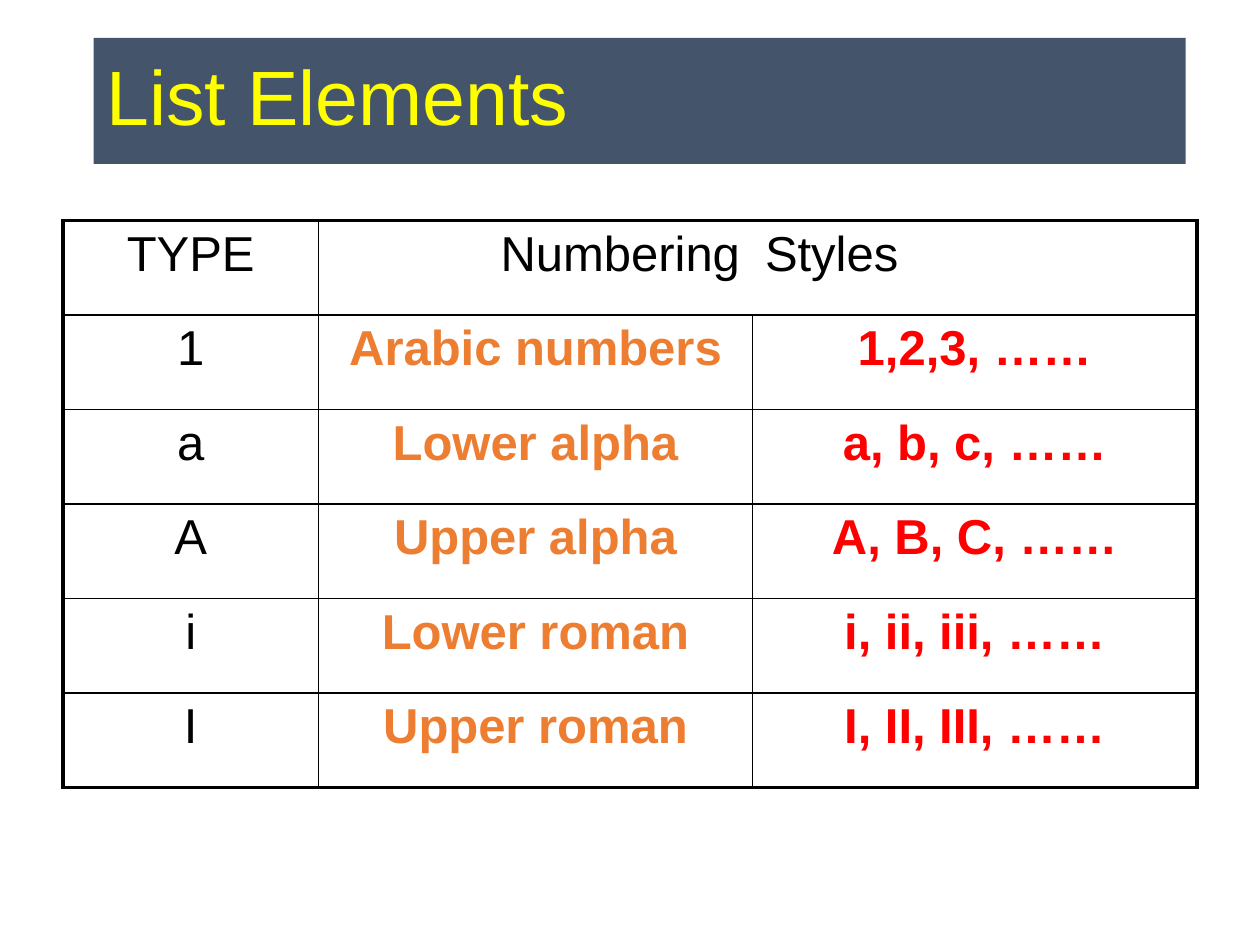
from dataclasses import dataclass

from lxml import etree
from pptx import Presentation
from pptx.dml.color import RGBColor
from pptx.enum import text
from pptx.oxml import ns
from pptx.util import Pt


@dataclass(frozen=True)
class Theme:
    font: str = "Arial"
    title_size: float = 44
    cell_size: float = 28
    title_fill: str = "44546A"
    title_text: str = "FFFF00"
    ink: str = "000000"
    style_name: str = "ED7D31"
    sample: str = "FF0000"
    outer_line: float = 2.25
    inner_line: float = 1


theme = Theme()


def format_text(paragraph, size, color, bold=False):
    for run in paragraph.runs:
        run.font.name = theme.font
        run.font.size = Pt(size)
        run.font.bold = bold
        run.font.color.rgb = RGBColor.from_string(color)


def set_borders(cell, widths):
    """Draw left, right, top and bottom borders; a width of 0 hides the side."""
    properties = cell._tc.get_or_add_tcPr()
    for position, (side, width) in enumerate(zip("LRTB", widths)):
        line = etree.Element(ns.qn(f"a:ln{side}"), w=str(Pt(width)))
        if width:
            fill = etree.SubElement(line, ns.qn("a:solidFill"))
            etree.SubElement(fill, ns.qn("a:srgbClr"), val=theme.ink)
        else:
            etree.SubElement(line, ns.qn("a:noFill"))
        properties.insert(position, line)


deck = Presentation()
deck.slide_width, deck.slide_height = Pt(720), Pt(540)
slide = deck.slides.add_slide(deck.slide_layouts[5])

title = slide.shapes.title
title.left, title.top, title.width, title.height = Pt(53.5), Pt(21.6), Pt(624), Pt(72)
title.fill.solid()
title.fill.fore_color.rgb = RGBColor.from_string(theme.title_fill)
title.text_frame.text = "List Elements"
title.text_frame.vertical_anchor = text.MSO_ANCHOR.MIDDLE
heading = title.text_frame.paragraphs[0]
heading.alignment = text.PP_ALIGN.LEFT
heading.line_spacing = 0.9
format_text(heading, theme.title_size, theme.title_text)

numbering_styles = [
    ("TYPE", "Numbering", "Styles"),
    ("1", "Arabic numbers", "1,2,3, ……"),
    ("a", "Lower alpha", "a, b, c, ……"),
    ("A", "Upper alpha", "A, B, C, ……"),
    ("i", "Lower roman", "i, ii, iii, ……"),
    ("I", "Upper roman", "I, II, III, ……"),
]
column_widths = [146, 248, 254]
row_height = 54
last_row, last_column = len(numbering_styles) - 1, len(column_widths) - 1

table = slide.shapes.add_table(
    len(numbering_styles), len(column_widths),
    Pt(36), Pt(126), Pt(sum(column_widths)), Pt(row_height * len(numbering_styles)),
).table
table.first_row = table.horz_banding = False
for column, width in zip(table.columns, column_widths):
    column.width = Pt(width)

header_alignments = [text.PP_ALIGN.CENTER, text.PP_ALIGN.RIGHT, text.PP_ALIGN.LEFT]
column_colors = [theme.ink, theme.style_name, theme.sample]

for r, entries in enumerate(numbering_styles):
    table.rows[r].height = Pt(row_height)
    is_header = r == 0
    for c, entry in enumerate(entries):
        cell = table.cell(r, c)
        cell.fill.background()
        cell.text_frame.text = entry
        label = cell.text_frame.paragraphs[0]
        label.alignment = header_alignments[c] if is_header else text.PP_ALIGN.CENTER
        format_text(label, theme.cell_size,
                    theme.ink if is_header else column_colors[c],
                    bold=not is_header and c > 0)

        # The two header cells on the right read as one heading
        left = 0 if is_header and c == 2 else theme.inner_line
        right = 0 if is_header and c == 1 else theme.inner_line
        set_borders(cell, [
            theme.outer_line if c == 0 else left,
            theme.outer_line if c == last_column else right,
            theme.outer_line if is_header else theme.inner_line,
            theme.outer_line if r == last_row else theme.inner_line,
        ])

deck.save("out.pptx")
